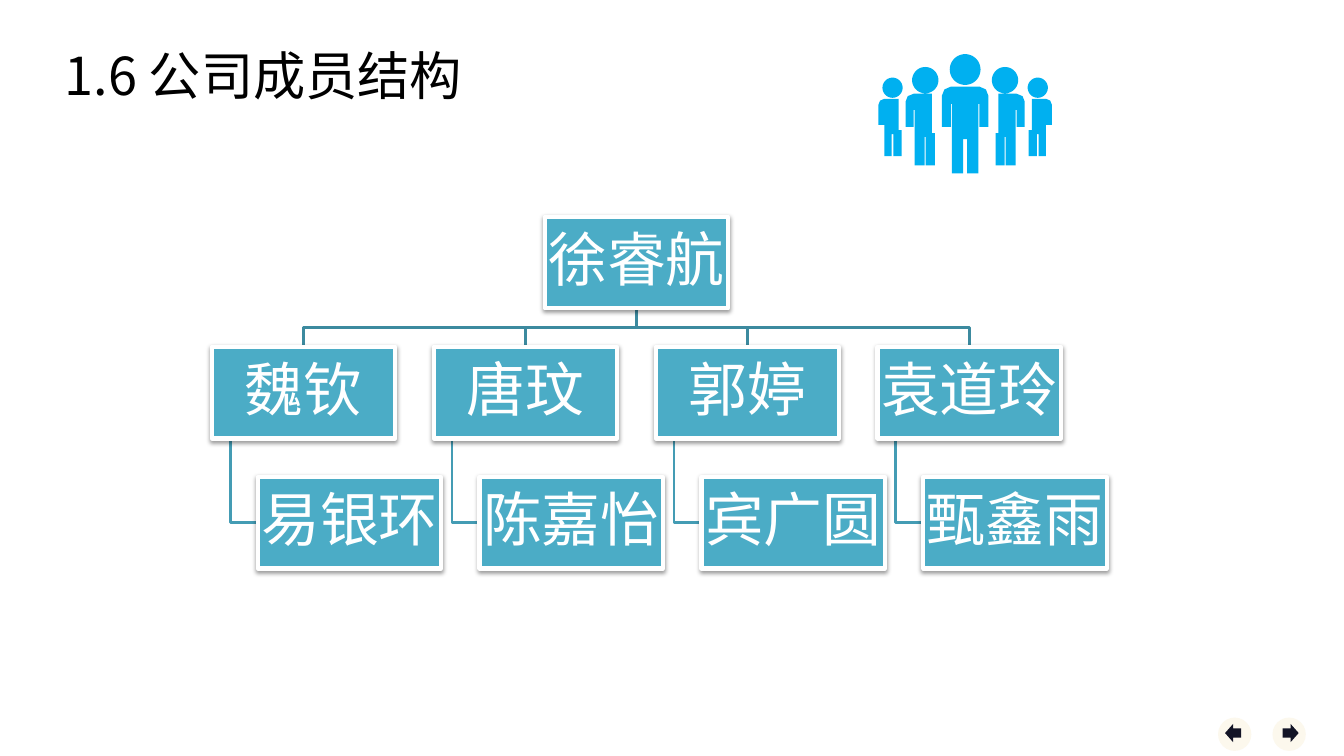
from collections import namedtuple
from dataclasses import dataclass
from math import cos, pi, sin

from lxml import etree
from pptx import Presentation
from pptx import util as u
from pptx.dml import color
from pptx.enum import shapes, text
from pptx.oxml import ns

Pt = u.Pt
Kind = shapes.MSO_SHAPE
Box = namedtuple("Box", "x y w h")


@dataclass(frozen=True)
class Theme:
    """Colours, font and type sizes of the slide."""
    font: str = "Noto Sans CJK SC"
    title: float = 37.3
    name: float = 42
    ink: str = "000000"
    white: str = "FFFFFF"
    card: str = "4BACC6"
    trunk: str = "3C8A9F"
    branch: str = "449CB4"
    crowd: str = "00B0F0"
    disc: str = "FCF8ED"
    arrow: str = "131426"


T = Theme()
BOSS = "徐睿航"
TEAMS = [("魏钦", "易银环"), ("唐玟", "陈嘉怡"), ("郭婷", "宾广圆"), ("袁道玲", "甄鑫雨")]

HEADS = [(62, 10.8, 11), (33.5, 18.4, 9.4), (10.1, 23.8, 7.2)]
MID = [(62, 23), (51.8, 23), (47.2, 25), (45.4, 29.5), (45.4, 51.8), (51.8, 51.8),
       (51.8, 35.3), (52.6, 35.3), (52.6, 85), (60.5, 85), (60.5, 60.5), (62, 60.5)]
NEAR = [(38.2, 28.1), (38.2, 56.2), (40.3, 56.2), (40.3, 79.2), (33.8, 79.2),
        (33.8, 59), (33.1, 59), (33.1, 79.2), (25.9, 79.2), (25.9, 39.6),
        (25.2, 39.6), (25.2, 51.8), (19.4, 51.8), (19.4, 33.8), (21, 29.8), (25.2, 28.1)]
FAR = [(14.4, 31.7), (14.4, 54), (16.6, 54), (16.6, 72.7), (10.8, 72.7), (10.8, 56.9),
       (9.4, 56.9), (9.4, 72.7), (4.3, 72.7), (4.3, 50.4), (0, 50.4), (0, 36),
       (1.2, 33), (4.3, 31.7)]


def style(shape, fill=None, line=None, width=1):
    """Set fill and line, and drop the theme shadow."""
    shape.shadow.inherit = False
    for part, tone in ((shape.fill, fill), (shape.line.fill, line)):
        if tone:
            part.solid()
            part.fore_color.rgb = color.RGBColor.from_string(tone)
        else:
            part.background()
    if line:
        shape.line.width = Pt(width)
    return shape


def preset(slide, kind, box, **look):
    """Add a styled preset shape."""
    return style(slide.shapes.add_shape(kind, *map(Pt, box)), **look)


def write(shape, words, size, tone, pad, lead=1, anchor=text.MSO_ANCHOR.MIDDLE):
    """Put one centred paragraph into a shape."""
    frame = shape.text_frame
    frame.word_wrap = True
    frame.vertical_anchor = anchor
    frame.margin_left = frame.margin_right = Pt(pad[0])
    frame.margin_top = frame.margin_bottom = Pt(pad[1])
    para = frame.paragraphs[0]
    para.alignment = text.PP_ALIGN.CENTER
    para.line_spacing = lead
    run = para.add_run()
    run.text = words
    run.font.size = Pt(size)
    run.font.name = T.font
    run.font.color.rgb = color.RGBColor.from_string(tone)
    props = run.font._element
    etree.SubElement(props, ns.qn("a:ea"), typeface=T.font)
    return frame


def trace(slide, paths, close, **look):
    """Draw one freeform from lists of points."""
    paths = [[(Pt(x), Pt(y)) for x, y in path] for path in paths]
    pen = slide.shapes.build_freeform(*paths[0][0])
    for i, path in enumerate(paths):
        if i:
            pen.move_to(*path[0])
        pen.add_line_segments(path[1:], close=close)
    return style(pen.convert_to_shape(), **look)


def shade(shape):
    """Give a shape a soft shadow straight below it."""
    effects = shape._element.spPr.find(ns.qn("a:effectLst"))
    drop = etree.SubElement(effects, ns.qn("a:outerShdw"), blurRad=str(Pt(3.1)),
                            dist=str(Pt(1.6)), dir="5400000", rotWithShape="0")
    tone = etree.SubElement(drop, ns.qn("a:srgbClr"), val=T.ink)
    etree.SubElement(tone, ns.qn("a:alpha"), val="38000")


def title(slide, box):
    """Place the slide title."""
    shape = slide.shapes.add_textbox(*map(Pt, box))
    frame = write(shape, "1.6 公司成员结构", T.title, T.ink, (9.4, 5),
                  anchor=text.MSO_ANCHOR.TOP)
    frame.auto_size = text.MSO_AUTO_SIZE.SHAPE_TO_FIT_TEXT


def crowd(slide, box):
    """Draw five figures, mirrored about the middle one."""
    def flip(path):
        return [(box.w - x, y) for x, y in path]

    rings = [[(x + r * cos(k * pi / 24), y + r * sin(k * pi / 24)) for k in range(48)]
             for x, y, r in HEADS]
    sides = [*rings[1:], NEAR, FAR]
    paths = [rings[0], MID + flip(MID)[::-1], *sides, *map(flip, sides)]
    trace(slide, [[(box.x + x, box.y + y) for x, y in path] for path in paths],
          True, fill=T.crowd)


def card(slide, box, name):
    """Place one name card."""
    shape = preset(slide, Kind.RECTANGLE, box, fill=T.card, line=T.white, width=3)
    shade(shape)
    write(shape, name, T.name, T.white, (2.2, 2.2), lead=0.9)


def chart(slide, box):
    """Lay out the boss, the leads and their members."""
    wide = box.w / (1.21 * len(TEAMS) + 0.04)
    high = box.h / 3.84
    gap = 0.42 * high
    step = 1.21 * wide
    rows = [box.y + i * (high + gap) for i in range(3)]
    mid = box.x + (step * (len(TEAMS) - 1) + wide) / 2
    cards = [(Box(mid - wide / 2, rows[0], wide, high), BOSS)]
    foot = rows[0] + high
    for i, (lead, member) in enumerate(TEAMS):
        x = box.x + i * step
        top, bus = x + wide / 2, foot + gap / 2
        trace(slide, [[(mid, foot), (mid, bus), (top, bus), (top, rows[1])]],
              False, line=T.trunk, width=2)
        stem, side, level = x + wide / 10, x + wide / 4, rows[2] + high / 2
        trace(slide, [[(stem, rows[1] + high), (stem, level), (side, level)]],
              False, line=T.branch, width=2)
        cards += [(Box(x, rows[1], wide, high), lead),
                  (Box(side, rows[2], wide, high), member)]
    for place, name in cards:
        card(slide, place, name)


def button(slide, box, kind, shift):
    """Place a round button with an arrow."""
    preset(slide, Kind.OVAL, box, fill=T.disc)
    preset(slide, kind, (box.x + shift, box.y + 4.5, 11.5, 13), fill=T.arrow)


def main():
    """Build and save the slide."""
    deck = Presentation()
    deck.slide_width, deck.slide_height = Pt(960.48), Pt(540)
    slide = deck.slides.add_slide(deck.slide_layouts[6])
    title(slide, Box(20.9, 25.9, 334.8, 54.7))
    button(slide, Box(909.4, 512.6, 23.8, 23.8), Kind.RIGHT_ARROW, 7.2)
    button(slide, Box(870.5, 512.6, 23.8, 23.8), Kind.LEFT_ARROW, 5)
    crowd(slide, Box(627.8, 38.9, 124, 85))
    chart(slide, Box(151.4, 154.8, 639.6, 251.3))
    deck.save("out.pptx")


if __name__ == "__main__":
    main()
